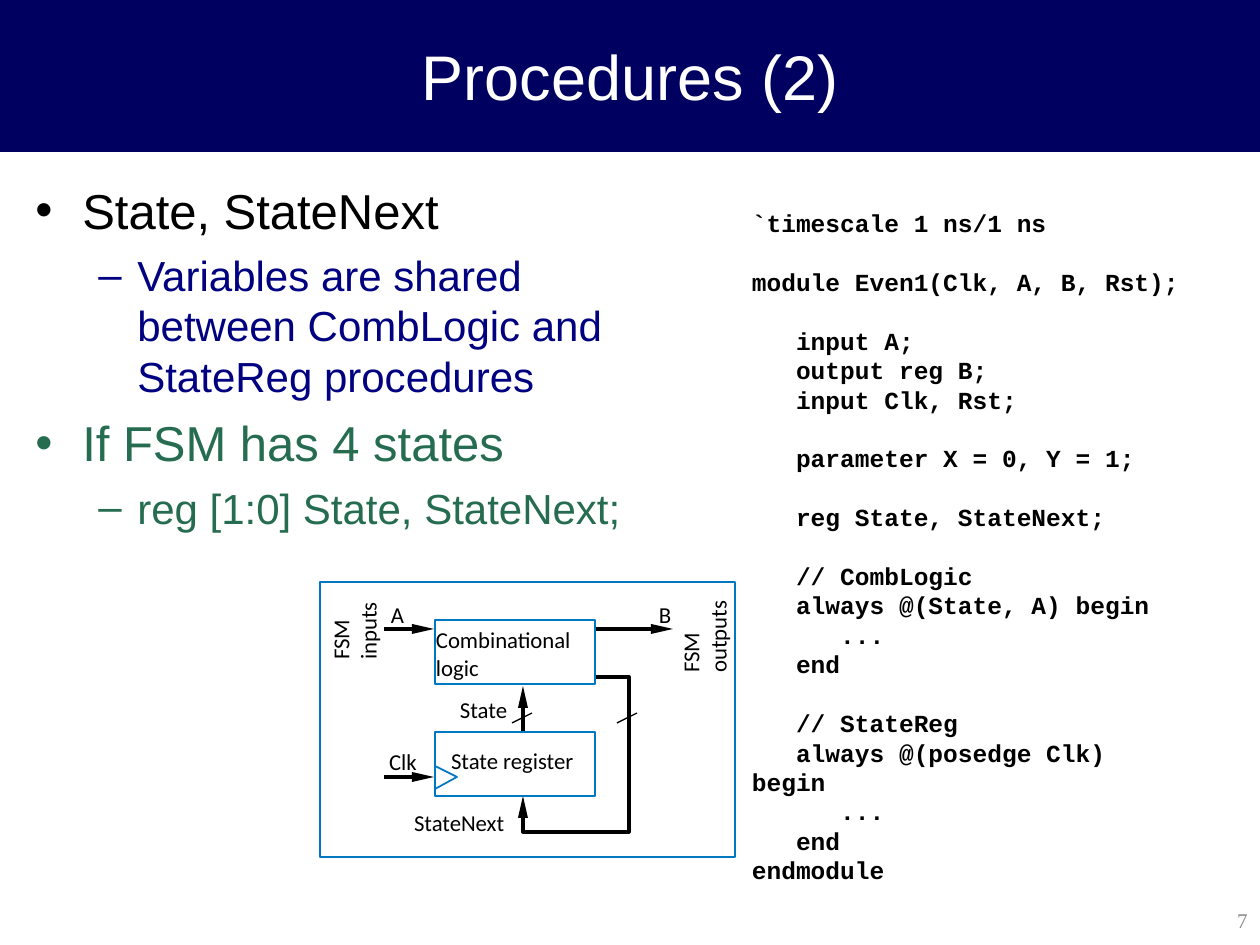
from lxml.etree import SubElement
from pptx import Presentation
from pptx.dml.color import RGBColor
from pptx.enum.shapes import MSO_CONNECTOR as Connector, MSO_SHAPE as Shape
from pptx.enum.text import MSO_ANCHOR as Anchor, MSO_AUTO_SIZE as AutoSize, PP_ALIGN as Align
from pptx.oxml.ns import qn
from pptx.util import Emu, Pt

EMU_PER_PX = 914400 / 126
BLACK = RGBColor(0x00, 0x00, 0x00)
WHITE = RGBColor(0xFF, 0xFF, 0xFF)
NAVY = RGBColor(0x00, 0x00, 0x60)
INDIGO = RGBColor(0x00, 0x00, 0x80)
GREEN = RGBColor(0x26, 0x6C, 0x50)
BLUE = RGBColor(0x00, 0x78, 0xC1)
GRAY = RGBColor(0x89, 0x89, 0x89)

NO_MARGINS = dict(margin_left=0, margin_top=0, margin_right=0, margin_bottom=0)
FITTED = dict(NO_MARGINS, word_wrap=False, auto_size=AutoSize.SHAPE_TO_FIT_TEXT)
LABEL_FONT = dict(name="Calibri", size=Pt(13))
CODE_FONT = dict(name="Courier New", size=Pt(14), bold=True)
CODE_LINE = Pt(16.8)

BULLET_LEVELS = [
    dict(mark="•", indent=(47, -47), size=28, before=7),
    dict(mark="–", indent=(102, -39), size=24, before=6),
]
BULLETS = [
    (0, "State, StateNext", BLACK),
    (1, "Variables are shared between CombLogic and StateReg procedures", INDIGO),
    (0, "If FSM has 4 states", GREEN),
    (1, "reg [1:0] State, StateNext;", GREEN),
]
CODE = """`timescale 1 ns/1 ns

module Even1(Clk, A, B, Rst);

   input A;
   output reg B;
   input Clk, Rst;

   parameter X = 0, Y = 1;

   reg State, StateNext;

   // CombLogic
   always @(State, A) begin
      ...
   end

   // StateReg
   always @(posedge Clk) begin
      ...
   end
endmodule"""


def px(value):
    return Emu(round(value * EMU_PER_PX))


def apply(target, values):
    for name, value in values.items():
        setattr(target, name, value)


def add_text(shapes, box, lines, font, color, frame):
    shape = shapes.add_textbox(*map(px, box))
    apply(shape.text_frame, frame)
    shape.text_frame.text = "\n".join(lines)
    for paragraph in shape.text_frame.paragraphs:
        for run in paragraph.runs:
            apply(run.font, font)
            run.font.color.rgb = color
    return shape


def style_outline(shape, color, width):
    shape.shadow.inherit = False
    shape.fill.background()
    shape.line.color.rgb = color
    shape.line.width = Pt(width)


def add_title(slide, box, text):
    band = slide.shapes.add_shape(Shape.RECTANGLE, *map(px, box))
    band.shadow.inherit = False
    band.fill.solid()
    band.fill.fore_color.rgb = band.line.color.rgb = NAVY
    band.line.width = Pt(0.75)
    title = slide.shapes.title
    slide.shapes.element.append(title.element)
    apply(title, dict(zip(("left", "top", "width", "height"), map(px, box))))
    title.text_frame.text = text
    title.text_frame.vertical_anchor = Anchor.MIDDLE
    paragraph = title.text_frame.paragraphs[0]
    paragraph.alignment = Align.CENTER
    font = paragraph.runs[0].font
    apply(font, dict(name="Arial", size=Pt(36)))
    font.color.rgb = WHITE


def add_bullets(slide, box, items):
    shape = add_text(slide.shapes, box, [text for _, text, _ in items],
                     dict(name="Arial"), BLACK, dict(word_wrap=True))
    for index, (paragraph, item) in enumerate(zip(shape.text_frame.paragraphs, items)):
        level, _, color = item
        style = BULLET_LEVELS[level]
        properties = paragraph._p.get_or_add_pPr()
        margin, indent = map(px, style["indent"])
        properties.set("marL", str(margin))
        properties.set("indent", str(indent))
        bullet_color = SubElement(properties, qn("a:buClr"))
        SubElement(bullet_color, qn("a:srgbClr"), val=str(color))
        SubElement(properties, qn("a:buFont"), typeface="Arial")
        SubElement(properties, qn("a:buChar"), char=style["mark"])
        apply(paragraph, dict(level=level, line_spacing=Pt(style["size"] * 1.2)))
        if index:
            paragraph.space_before = Pt(style["before"])
        font = paragraph.runs[0].font
        font.size = Pt(style["size"])
        font.color.rgb = color


def add_code(slide, box, code):
    blocks = [block.split("\n") for block in code.split("\n\n")]
    shape = add_text(slide.shapes, box, sum(blocks, []), CODE_FONT, BLACK, FITTED)
    paragraphs = shape.text_frame.paragraphs
    for paragraph in paragraphs:
        paragraph.line_spacing = CODE_LINE
    start = 0
    for block in blocks[:-1]:
        start += len(block)
        paragraphs[start].space_before = CODE_LINE


def add_diagram(slide, box):
    left, top, width, height = box
    shapes = slide.shapes.add_group_shape().shapes

    def place(x, y):
        return px(left + x), px(top + y)

    def line(start, end, weight):
        connector = shapes.add_connector(Connector.STRAIGHT, *place(*start), *place(*end))
        connector.line.color.rgb = BLACK
        connector.line.width = Pt(weight)
        SubElement(connector._element.spPr, qn("a:effectLst"))

    def outline(points, close=False):
        first, *others = [place(*point) for point in points]
        builder = shapes.build_freeform(*first)
        builder.add_line_segments(others, close=close)
        return builder.convert_to_shape()

    def head(tip, direction):
        (x, y), (dx, dy) = tip, direction
        back_x, back_y = x - 22 * dx, y - 22 * dy
        shape = outline([tip, (back_x - 5 * dy, back_y - 5 * dx),
                         (back_x + 5 * dy, back_y + 5 * dx)], close=True)
        shape.shadow.inherit = False
        shape.fill.solid()
        shape.fill.fore_color.rgb = BLACK
        shape.line.fill.background()

    def arrow(start, tip, direction):
        end = [position - 18 * step for position, step in zip(tip, direction)]
        line(start, end, 1.87)
        head(tip, direction)

    def frame(x, y, w, h):
        shape = shapes.add_shape(Shape.RECTANGLE, *place(x, y), px(w), px(h))
        style_outline(shape, BLUE, 1.39)

    def label(x, y, w, *lines, rotation=0):
        shape = add_text(shapes, (left + x, top + y, w, 27 * len(lines)),
                         lines, LABEL_FONT, BLACK, FITTED)
        shape.rotation = rotation

    right, up = (1, 0), (0, -1)
    arrow((64, 47), (114, 47), right)
    arrow((275, 47), (353, 47), right)
    arrow((64, 195), (114, 195), right)
    arrow((203, 149), (203, 104), up)
    feedback = outline([(203, 232), (203, 250), (309, 250), (309, 95), (275, 95)])
    style_outline(feedback, BLACK, 1.87)
    head((203, 214), up)

    frame(0, 0, width, height)
    for y in (38, 150):
        frame(115, y, 160, 64)
    style_outline(outline([(115, 207), (137, 195), (115, 184)]), BLUE, 1)

    label(116, 44, 164, "Combinational", "logic")
    label(131, 165, 144, "State register")
    label(140, 114, 54, "State")
    label(339, 19, 15, "B")
    label(71, 19, 15, "A")
    label(69, 166, 33, "Clk")
    label(94, 227, 105, "StateNext")
    label(0, 17, 67, "FSM", "inputs", rotation=270)
    label(342, 22, 83, "FSM", "outputs", rotation=270)

    for x in (192, 297):
        line((x, 141), (x + 20, 131), 0.75)


def add_slide_number(slide, box, number):
    shape = add_text(slide.shapes, box, [number], dict(name="Times New Roman", size=Pt(12)),
                     GRAY, dict(word_wrap=True, vertical_anchor=Anchor.MIDDLE))
    shape.text_frame.paragraphs[0].alignment = Align.RIGHT


def main():
    presentation = Presentation()
    apply(presentation, dict(slide_width=px(1260), slide_height=px(945)))
    slide = presentation.slides.add_slide(presentation.slide_layouts[5])
    add_title(slide, (0, 0, 1260, 151), "Procedures (2)")
    add_bullets(slide, (23, 174, 645, 721), BULLETS)
    add_slide_number(slide, (993, 895, 267, 50), "7")
    add_code(slide, (752, 208, 442, 648), CODE)
    add_diagram(slide, (320, 582, 415, 275))
    presentation.save("out.pptx")


if __name__ == "__main__":
    main()
